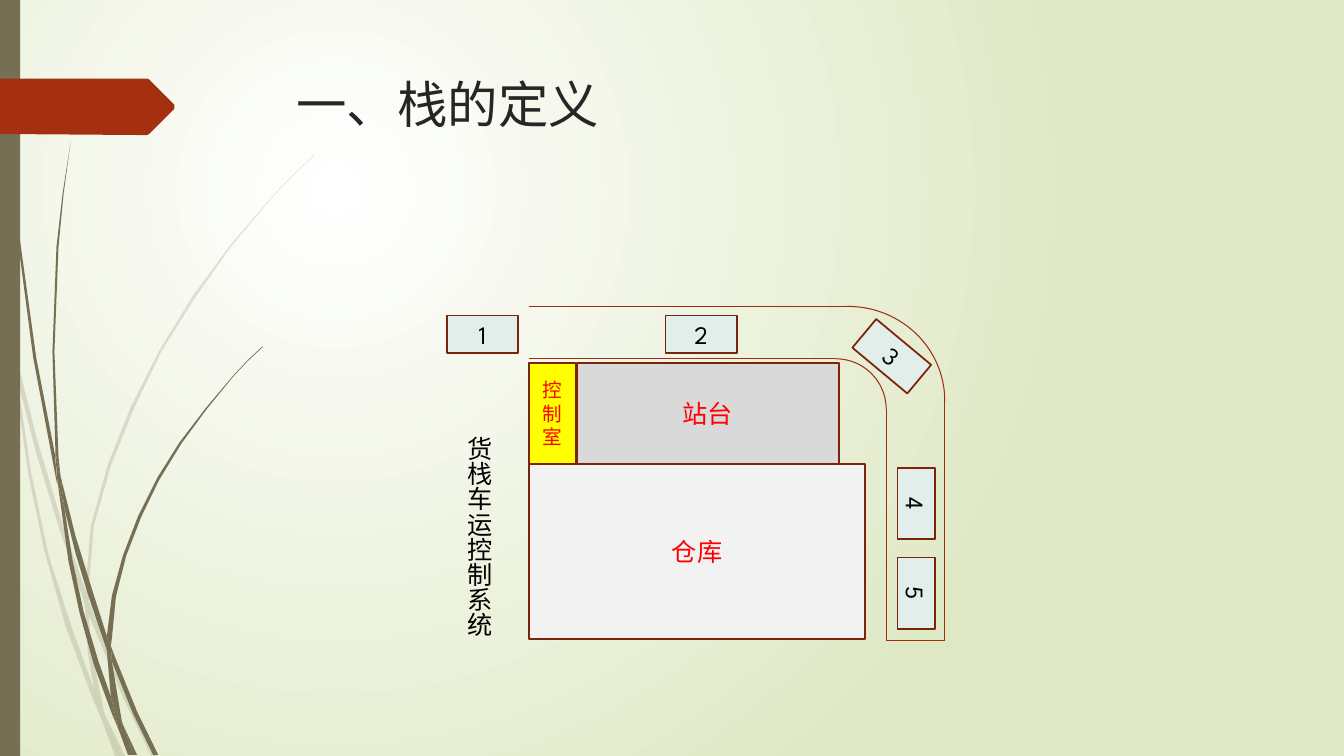
import pptx
import pptx.dml.color
import pptx.enum.shapes
import pptx.enum.text
import pptx.oxml
import pptx.oxml.ns
import pptx.util

SHAPE = pptx.enum.shapes.MSO_SHAPE
ALIGN = pptx.enum.text.PP_ALIGN
ANCHOR = pptx.enum.text.MSO_ANCHOR
PX = 9144
FONT = "League Spartan"
OLIVE, RUST, TRACK, EDGE = "766F54", "A53010", "9E2E0F", "7A240C"
RED, BLACK, CAR = "FF0000", "000000", "E1EEE9"

PAGE_SIZE = (1333, 750)
TITLE = ("一、栈的定义", (284, 68, 975, 140))
CAPTION = ("货栈车运控制系统", (445, 423, 50, 212))
SIDE_BAR = (0, 0, 20, 750)
BANNER = [(173, 108), (148, 133), (146, 134), (136, 134), (0, 133), (0, 78),
          (136, 78), (146, 78), (148, 79), (173, 104)]

PALE_BLADES = [
    [(11, 350), (9, 322), (0, 282), (0, 299), (10, 344)],
    [(58, 522), (84, 599), (85, 586), (62, 520), (37, 437), (14, 345), (17, 376), (36, 450)],
    [(92, 607), (88, 596), (88, 610), (123, 694), (150, 750), (155, 750), (127, 692)],
    [(119, 750), (124, 750), (105, 711)],
    [(93, 683), (70, 619), (48, 550), (31, 469), (17, 376), (11, 350), (28, 470),
     (44, 546), (65, 621), (92, 693), (101, 714), (99, 707)],
    [(84, 599), (87, 646), (93, 683), (96, 692), (105, 711), (103, 706), (91, 646),
     (88, 610), (88, 608)],
    [(88, 584), (93, 522), (110, 462), (133, 405), (160, 349), (193, 296), (229, 245),
     (268, 198), (290, 175), (312, 154), (312, 153), (289, 175), (268, 197), (228, 244),
     (191, 294), (158, 348), (130, 403), (107, 461), (90, 522), (85, 584), (85, 586),
     (88, 596)],
    [(101, 714), (114, 750), (119, 750)],
    [(88, 608), (88, 610), (88, 596), (85, 586), (84, 599)],
    [(96, 692), (93, 683), (99, 707), (101, 714), (119, 750), (105, 711)],
]
DARK_BLADES = [
    [(7, 110), (17, 233), (33, 355), (56, 477), (57, 481), (55, 457), (55, 453),
     (36, 355), (19, 232), (8, 109), (5, 48), (4, 0), (3, 0), (4, 48)],
    [(88, 592), (106, 645), (106, 633), (106, 631), (93, 590), (75, 532), (60, 472),
     (64, 505), (75, 549)],
    [(113, 649), (110, 641), (111, 656), (132, 708), (152, 749), (157, 749), (136, 706)],
    [(110, 691), (98, 657), (83, 607), (72, 556), (64, 505), (57, 477), (68, 557),
     (79, 608), (93, 659), (111, 708), (117, 722), (116, 717)],
    [(60, 472), (58, 453), (54, 349), (58, 245), (63, 193), (70, 141), (62, 193),
     (56, 245), (52, 349), (55, 449)],
    [(133, 749), (136, 749), (122, 719)],
    [(57, 477), (64, 505), (60, 472), (55, 449), (55, 453)],
    [(111, 633), (115, 592), (125, 552), (140, 513), (158, 476), (180, 440), (205, 406),
     (231, 374), (245, 359), (261, 344), (260, 344), (245, 358), (231, 373), (204, 405),
     (178, 439), (156, 474), (137, 512), (122, 551), (111, 591), (106, 631), (110, 641)],
    [(117, 722), (127, 749), (131, 749)],
    [(106, 645), (110, 691), (116, 706), (122, 719), (121, 716), (111, 656), (109, 651)],
    [(106, 645), (109, 651), (111, 656), (110, 641), (106, 631), (106, 633)],
    [(116, 706), (110, 691), (116, 717), (117, 722), (130, 749), (133, 749), (122, 719)],
]

TRACK_LINES = [
    (525, 304, 845, 304),
    (937, 391, 937, 635),
    (525, 356, 829, 356),
    (879, 406, 879, 635),
    (879, 635, 937, 635),
]
TRACK_ARCS = [((745, 304, 192, 187), 161.39), ((779, 356, 100, 100), 162)]

BUILDINGS = [
    ("站台", (572, 360, 260, 100), "D9D9D9", 18),
    ("仓库", (525, 460, 333, 174), "F2F2F2", 18),
    ("控制室", (525, 360, 46, 100), "FFFF00", 14),
]
CAR_SIZE = (71, 37)
CARS = [
    ("1", (443, 313), 0),
    ("2", (660, 313), 0),
    ("3", (849, 335), 39.8),
    ("4", (873, 481), 90),
    ("5", (873, 570), 90),
]


def emu(*lengths):
    return [length * PX for length in lengths]


def color(value):
    return pptx.dml.color.RGBColor.from_string(value)


def apply(target, **values):
    for name, value in values.items():
        setattr(target, name, value)


def paint(shape, fill=None, line=None, width=0.75):
    shape.shadow.inherit = False
    if fill:
        shape.fill.solid()
        shape.fill.fore_color.rgb = color(fill)
    else:
        shape.fill.background()
    if line:
        shape.line.color.rgb = color(line)
        shape.line.width = pptx.util.Pt(width)
    else:
        shape.line.fill.background()


def write(shape, text, size, ink, align, anchor, wrap=True):
    frame = shape.text_frame
    apply(frame, word_wrap=wrap, vertical_anchor=anchor)
    para = frame.paragraphs[0]
    para.alignment = align
    span = para.add_run()
    span.text = text
    apply(span.font, name=FONT, size=pptx.util.Pt(size))
    span.font.color.rgb = color(ink)


def add_outline(page, points, fill, alpha=None):
    builder = page.shapes.build_freeform(*points[0], scale=PX)
    builder.add_line_segments(points[1:], close=True)
    shape = builder.convert_to_shape()
    paint(shape, fill)
    if alpha:
        tone = shape.fill._xPr.find(".//" + pptx.oxml.ns.qn("a:srgbClr"))
        tone.append(pptx.oxml.parse_xml(
            f'<a:alpha {pptx.oxml.ns.nsdecls("a")} val="{alpha * 1000}"/>'))


def add_box(page, kind, place, **look):
    shape = page.shapes.add_shape(kind, *emu(*place))
    paint(shape, **look)
    return shape


def add_background(page):
    fill = page.background.fill
    fill.gradient()
    for stop, tone in zip(fill.gradient_stops, ("FFFFFF", "DFE8C4")):
        stop.color.rgb = color(tone)
    linear = page.background._cSld.find(".//" + pptx.oxml.ns.qn("a:lin"))
    linear.getparent().replace(linear, pptx.oxml.parse_xml(
        f'<a:path {pptx.oxml.ns.nsdecls("a")} path="circle">'
        '<a:fillToRect l="50000" t="50000" r="100000" b="100000"/></a:path>'))


def add_track(page):
    for ends in TRACK_LINES:
        rail = page.shapes.add_connector(
            pptx.enum.shapes.MSO_CONNECTOR.STRAIGHT, *emu(*ends))
        rail.line.color.rgb = color(TRACK)
        rail.line.width = pptx.util.Pt(0.75)
        rail._element.spPr.append(pptx.oxml.parse_xml(
            f'<a:effectLst {pptx.oxml.ns.nsdecls("a")}/>'))
    for place, start in TRACK_ARCS:
        bend = add_box(page, SHAPE.ARC, place, line=TRACK)
        bend.adjustments[0] = start


def main():
    deck = pptx.Presentation()
    apply(deck, **dict(zip(("slide_width", "slide_height"), emu(*PAGE_SIZE))))
    page = deck.slides.add_slide(deck.slide_layouts[5])
    add_background(page)

    for blades, alpha in ((PALE_BLADES, 20), (DARK_BLADES, None)):
        for points in blades:
            add_outline(page, points, OLIVE, alpha)
    add_box(page, SHAPE.RECTANGLE, SIDE_BAR, fill=OLIVE)
    add_outline(page, BANNER, RUST)

    text, place = TITLE
    title = page.shapes.title
    apply(title, **dict(zip(("left", "top", "width", "height"), emu(*place))))
    write(title, text, 36, "262626", ALIGN.LEFT, ANCHOR.TOP)

    add_track(page)
    for text, place, fill, size in BUILDINGS:
        box = add_box(page, SHAPE.RECTANGLE, place, fill=fill, line=EDGE, width=1.25)
        write(box, text, size, RED, ALIGN.CENTER, ANCHOR.MIDDLE)
    for text, corner, angle in CARS:
        box = add_box(page, SHAPE.RECTANGLE, corner + CAR_SIZE, fill=CAR, line=EDGE, width=1.25)
        box.rotation = angle
        write(box, text, 18, BLACK, ALIGN.CENTER, ANCHOR.MIDDLE)

    text, place = CAPTION
    caption = page.shapes.add_textbox(*emu(*place))
    write(caption, text, 18, BLACK, ALIGN.LEFT, ANCHOR.TOP, wrap=False)
    caption.text_frame._txBody.bodyPr.set("vert", "eaVert")

    deck.save("out.pptx")


if __name__ == "__main__":
    main()
